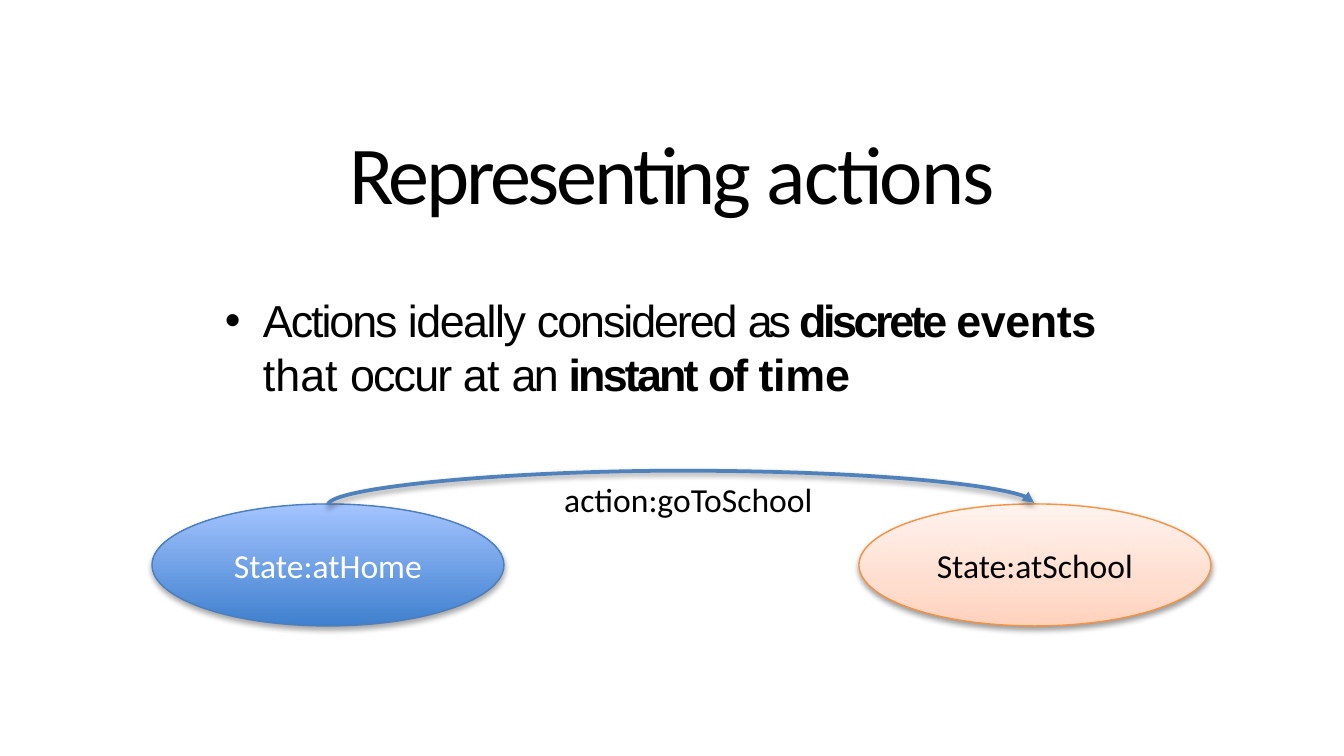
from pptx import Presentation
from pptx.dml.color import RGBColor
from pptx.enum.shapes import MSO_CONNECTOR, MSO_SHAPE
from pptx.enum.text import MSO_ANCHOR, MSO_AUTO_SIZE, PP_ALIGN
from pptx.oxml import parse_xml
from pptx.oxml.ns import nsdecls
from pptx.util import Emu, Pt

CURVE = MSO_CONNECTOR.CURVE
OVAL = MSO_SHAPE.OVAL
TOP, MIDDLE = MSO_ANCHOR.TOP, MSO_ANCHOR.MIDDLE
NO_FIT = MSO_AUTO_SIZE.NONE
LEFT, CENTER = PP_ALIGN.LEFT, PP_ALIGN.CENTER
SCALE = 914400 / 134.4
PT = 12700


def px(n):
    return Emu(round(n * SCALE))


def rgb(value):
    return RGBColor.from_string(value)


def xml(tag, attrs="", inner=""):
    return parse_xml(f'<a:{tag} {nsdecls("a")} {attrs}>{inner}</a:{tag}>')


class Deck:
    title_format = {"name": "Calibri", "size": Pt(44)}
    body_format = {"name": "Arial", "size": Pt(24)}
    label_format = {"name": "Calibri", "size": Pt(18)}

    def __init__(self, width, height):
        self.prs = Presentation()
        self.prs.slide_width, self.prs.slide_height = px(width), px(height)
        self.slide = self.prs.slides.add_slide(self.prs.slide_layouts[1])

    def place(self, sp, box):
        sp.left, sp.top, sp.width, sp.height = map(px, box)

    def frame(self, sp, anchor, insets=None):
        tf = sp.text_frame
        values = {"word_wrap": True, "auto_size": NO_FIT, "vertical_anchor": anchor}
        if insets:
            names = ("margin_left", "margin_top", "margin_right", "margin_bottom")
            values.update(zip(names, map(px, insets)))
        for name, value in values.items():
            setattr(tf, name, value)
        return tf

    def add_runs(self, p, runs, style, color="000000", align=LEFT):
        p.alignment = align
        p.space_before = Pt(0)
        for text, spacing, bold in runs:
            r = p.add_run()
            r.text = text
            for name, value in {**style, "bold": bold}.items():
                setattr(r.font, name, value)
            r.font.color.rgb = rgb(color)
            if spacing:
                r._r.get_or_add_rPr().set("spc", str(round(spacing * 100)))

    def title(self, box, runs):
        sp = self.slide.shapes.title
        self.place(sp, box)
        tf = self.frame(sp, MIDDLE, (0, 1, 0, 0))
        self.add_runs(tf.paragraphs[0], runs, self.title_format, align=CENTER)

    def body(self, box, lines):
        sp = self.slide.placeholders[1]
        self.place(sp, box)
        tf = self.frame(sp, TOP, (0, 1, 0, 0))
        for i, runs in enumerate(lines):
            p = tf.add_paragraph() if i else tf.paragraphs[0]
            pPr = p._p.get_or_add_pPr()
            pPr.set("marL", str(px(39)))
            pPr.set("indent", str(px(0 if i else -38)))
            pPr.append(xml("buNone") if i else xml("buChar", 'char="•"'))
            self.add_runs(p, runs, self.body_format)

    def shadow(self, sp, opacity, distance):
        color = f'<a:srgbClr val="000000"><a:alpha val="{opacity * 1000}"/></a:srgbClr>'
        attrs = (f'blurRad="{round(3.1 * PT)}" dist="{round(distance * PT)}" '
                 'dir="5400000" rotWithShape="0"')
        effect = f"<a:outerShdw {attrs}>{color}</a:outerShdw>"
        sp._element.spPr.append(xml("effectLst", inner=effect))

    def state(self, box, text, stops, line, color, opacity, distance):
        sp = self.slide.shapes.add_shape(OVAL, *map(px, box))
        marks = "".join(f'<a:gs pos="{pos * 1000}"><a:srgbClr val="{c}"/></a:gs>'
                        for pos, c in stops)
        sp._element.spPr.append(xml(
            "gradFill", 'rotWithShape="1"',
            f'<a:gsLst>{marks}</a:gsLst><a:lin ang="16200000" scaled="0"/>'))
        sp.line.color.rgb = rgb(line)
        sp.line.width = Pt(0.75)
        self.shadow(sp, opacity, distance)
        p = self.frame(sp, MIDDLE).paragraphs[0]
        self.add_runs(p, [(text, 0, False)], self.label_format, color, CENTER)

    def arc(self, x1, x2, y, rise, color):
        cx, half, thin = (x1 + x2) // 2, (x2 - x1) // 2, 1
        ends = (cx + thin, y + half, cx - thin, y - half)
        sp = self.slide.shapes.add_connector(CURVE, *map(px, ends))
        spPr = sp._element.spPr
        spPr.find("{*}xfrm").set("rot", "5400000")
        adjust = round(rise / (2 * thin) * 100000)
        guides = spPr.find("{*}prstGeom").get_or_add_avLst()
        guides.append(xml("gd", f'name="adj1" fmla="val {adjust}"'))
        sp.line.color.rgb = rgb(color)
        sp.line.width = Pt(2)
        spPr.find("{*}ln").append(xml("tailEnd", 'type="triangle"'))
        self.shadow(sp, 38, 1.6)

    def label(self, box, text):
        sp = self.slide.shapes.add_textbox(*map(px, box))
        p = self.frame(sp, TOP).paragraphs[0]
        self.add_runs(p, [(text, 0, False)], self.label_format)


def main():
    deck = Deck(1344, 756)
    deck.title((332, 121, 680, 101),
               [("Representing ", -1.8, False), ("actions", -1, False)])
    deck.body((224, 292, 896, 110), [
        [("Actions ", -1.1, False), ("ideally ", -0.8, False),
         ("considered ", -1.1, False), ("as ", -2.3, False),
         ("discrete ", -1.8, True), ("events", -0.2, True)],
        [("that ", 0, False), ("occur ", -1, False), ("at ", -0.3, False),
         ("an ", -1.4, False), ("instant ", -1.5, True),
         ("of ", -1.2, True), ("time", -0.1, True)],
    ])
    top, width, height = 504, 352, 122
    home, school = 152, 859
    deck.state((home, top, width, height), "State:atHome",
               [(0, "3F80CE"), (100, "A4C4FF")], "4B7EBC", "FFFFFF", 35, 1.8)
    deck.state((school, top, width, height), "State:atSchool",
               [(0, "FFD2BD"), (35, "FFDED0"), (100, "FFF2ED")],
               "F69240", "000000", 38, 1.6)
    deck.arc(home + width // 2, school + width // 2, top, 34, "4F81BD")
    deck.label((551, 472, 364, 54), "action:goToSchool")
    deck.prs.save("out.pptx")


if __name__ == "__main__":
    main()
